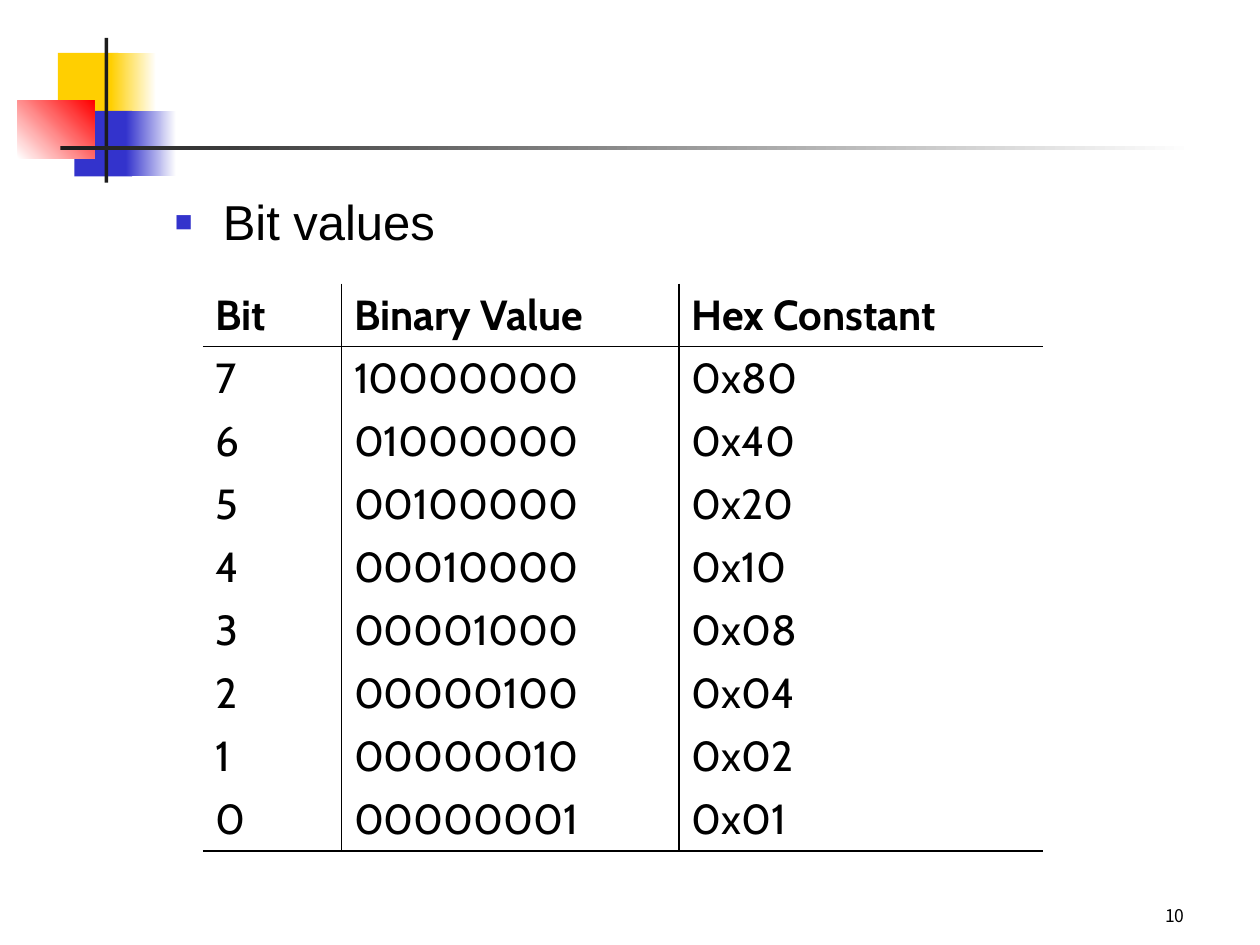
from pptx import Presentation
from pptx.dml.color import RGBColor
from pptx.enum.shapes import MSO_SHAPE
from pptx.enum.text import MSO_ANCHOR, PP_ALIGN
from pptx.oxml.ns import qn
from pptx.util import Inches, Pt
from lxml import etree

RECT = MSO_SHAPE.RECTANGLE
BOTTOM = MSO_ANCHOR.BOTTOM
LEFT, RIGHT = PP_ALIGN.LEFT, PP_ALIGN.RIGHT

COLORS = {
    "text": "000000",
    "white": "FFFFFF",
    "yellow": "FFCF01",
    "blue": "3333CC",
    "red": "FF0000",
    "bar": "1C1C1C",
}

# Master decoration, back to front: left, top, width, height, colours, angle
DECORATION = [
    (0.46, 0.42, 0.48, 0.52, ["yellow"], 0),
    (0.88, 0.42, 0.36, 0.52, ["yellow", "white"], 0),
    (0.59, 0.88, 0.46, 0.52, ["blue"], 0),
    (1.00, 0.88, 0.40, 0.52, ["blue", "white"], 0),
    (0.14, 0.80, 0.61, 0.46, ["white", "red"], 45),
    (0.83, 0.30, 0.03, 1.15, ["bar"], 0),
    (0.48, 1.16, 9.00, 0.03, ["bar", "white"], 0),
]

HEADERS = ["Bit", "Binary Value", "Hex Constant"]
COLUMN_WIDTHS = [1.1, 2.68, 2.89]
ROW_HEIGHT = 0.5


def rgb(name):
    return RGBColor.from_string(COLORS[name])


def add_block(slide, left, top, width, height, colors, angle):
    block = slide.shapes.add_shape(
        RECT, Inches(left), Inches(top), Inches(width), Inches(height))
    block.shadow.inherit = False
    block.line.fill.background()
    if len(colors) == 1:
        block.fill.solid()
        block.fill.fore_color.rgb = rgb(colors[0])
        return
    block.fill.gradient()
    block.fill.gradient_angle = angle
    for position, (stop, color) in enumerate(zip(block.fill.gradient_stops, colors)):
        stop.position = position
        stop.color.rgb = rgb(color)


def style_paragraph(paragraph, font, size, bold=False):
    paragraph.font.name = font
    paragraph.font.size = Pt(size)
    paragraph.font.bold = bold
    paragraph.font.color.rgb = rgb("text")


def add_text(slide, text, box, font, size, align=LEFT):
    frame = slide.shapes.add_textbox(*map(Inches, box)).text_frame
    frame.word_wrap = True
    paragraph = frame.paragraphs[0]
    paragraph.text = text
    paragraph.alignment = align
    style_paragraph(paragraph, font, size)
    return frame


def add_bullet(paragraph, char, color, percent, indent):
    properties = paragraph._p.get_or_add_pPr()
    properties.set("marL", str(Inches(indent)))
    properties.set("indent", str(-Inches(indent)))
    bullet_color = etree.Element(qn("a:buClr"))
    etree.SubElement(bullet_color, qn("a:srgbClr"), val=COLORS[color])
    bullet = [
        bullet_color,
        etree.Element(qn("a:buSzPct"), val=str(percent * 1000)),
        etree.Element(qn("a:buFont"), typeface="Arial"),
        etree.Element(qn("a:buChar"), char=char),
    ]
    default_run = properties.find(qn("a:defRPr"))
    for part in bullet:
        default_run.addprevious(part)


def set_borders(cell, visible):
    """Rule the visible sides (letters out of LRTB) and clear the others."""
    properties = cell._tc.get_or_add_tcPr()
    for index, side in enumerate("LRTB"):
        line = etree.Element(qn(f"a:ln{side}"), w=str(Pt(1)))
        if side in visible:
            fill = etree.SubElement(line, qn("a:solidFill"))
            etree.SubElement(fill, qn("a:srgbClr"), val=COLORS["text"])
        else:
            etree.SubElement(line, qn("a:noFill"))
        properties.insert(index, line)


def add_bit_table(slide, left, top):
    bits = range(7, -1, -1)
    rows = [HEADERS] + [[str(b), f"{1 << b:08b}", f"0x{1 << b:02X}"] for b in bits]
    last_row, last_column = len(rows) - 1, len(HEADERS) - 1
    table = slide.shapes.add_table(
        len(rows), len(HEADERS), Inches(left), Inches(top),
        Inches(sum(COLUMN_WIDTHS)), Inches(ROW_HEIGHT * len(rows))).table
    table.first_row = table.horz_banding = False
    for column, width in zip(table.columns, COLUMN_WIDTHS):
        column.width = Inches(width)

    for r, values in enumerate(rows):
        for c, value in enumerate(values):
            cell = table.cell(r, c)
            cell.text = value
            cell.fill.background()
            style_paragraph(cell.text_frame.paragraphs[0], "Cabin", 24, bold=r == 0)
            # Rules between columns, under the header and under the last row
            sides = ("L" if c else "") + ("R" if c < last_column else "")
            sides += ("T" if r == 1 else "") + ("B" if r in (0, last_row) else "")
            set_borders(cell, sides)


def main():
    presentation = Presentation()
    presentation.slide_width, presentation.slide_height = Inches(10), Inches(7.5)
    slide = presentation.slides.add_slide(presentation.slide_layouts[6])

    # Coloured squares and rules
    for block in DECORATION:
        add_block(slide, *block)

    # Bulleted heading
    heading = add_text(slide, "Bit values", (1.29, 1.47, 8.5, 5.43), "Arial", 28)
    heading.paragraphs[0].space_before = Pt(3)
    add_bullet(heading.paragraphs[0], "■", "blue", 60, 0.38)

    # Page number
    page_number = add_text(
        slide, "10", (7.42, 7.06, 2.08, 0.34), "Noto Sans CJK KR", 10, RIGHT)
    page_number.vertical_anchor = BOTTOM

    # Values of each bit
    add_bit_table(slide, 1.61, 2.25)

    presentation.save("out.pptx")


if __name__ == "__main__":
    main()
